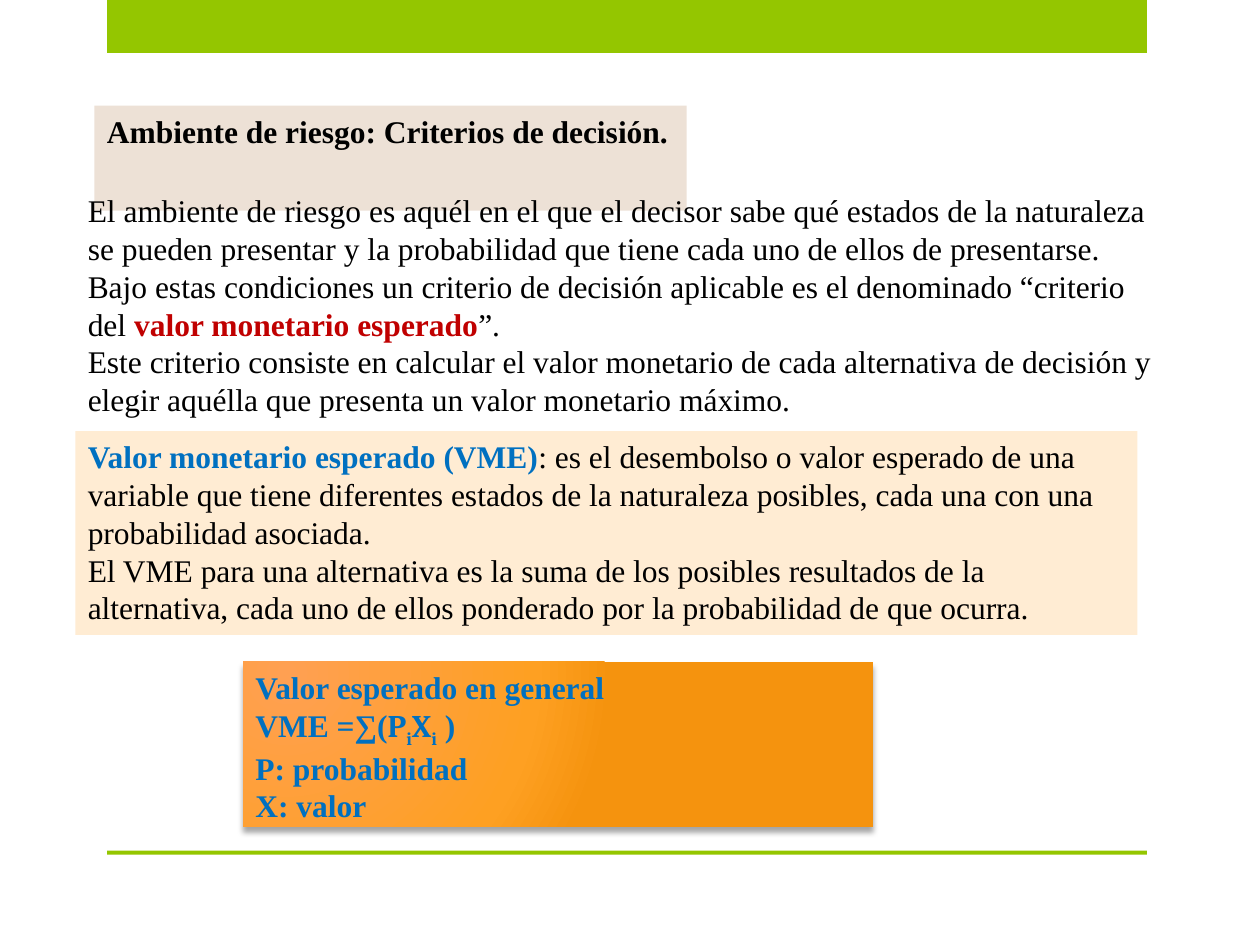
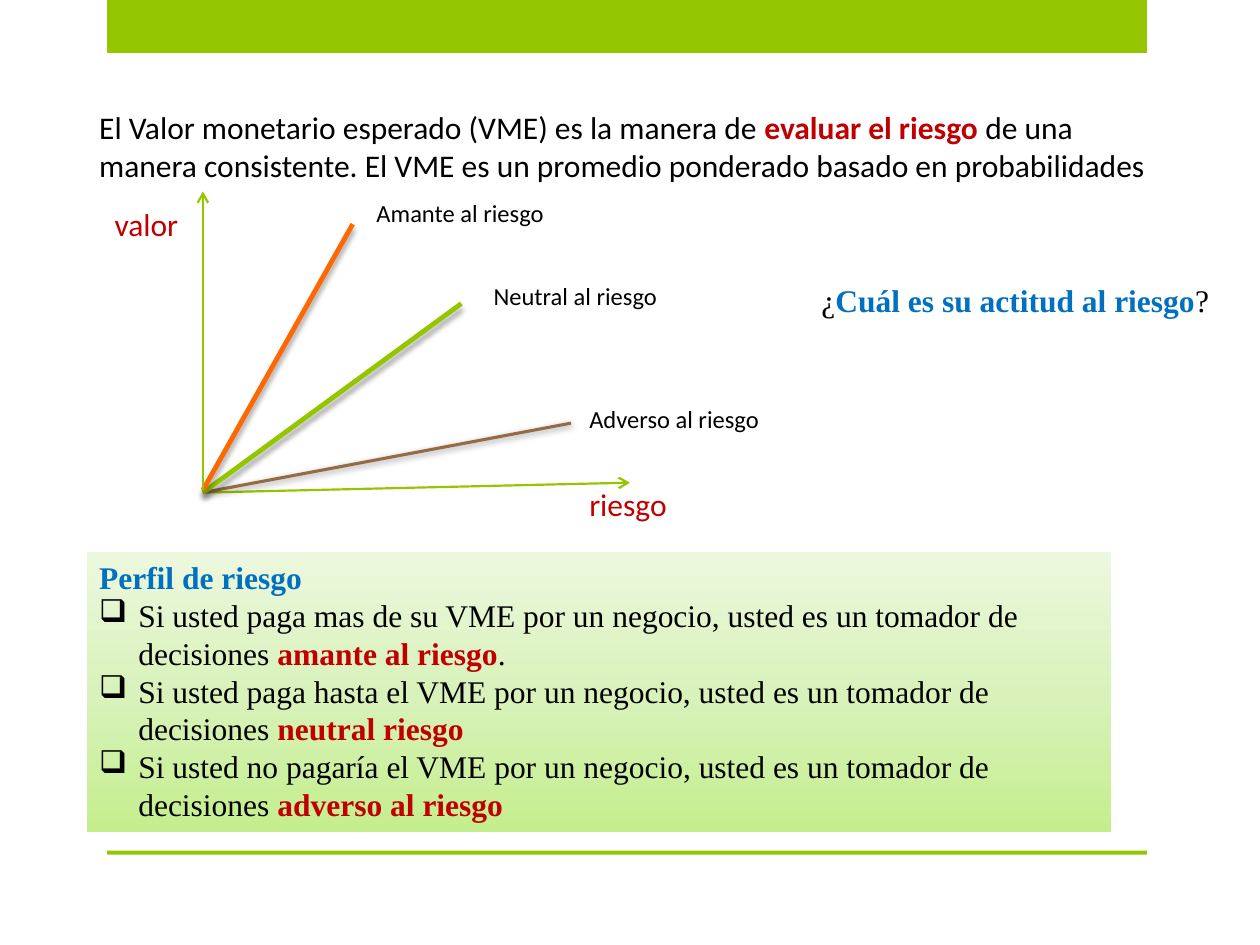
from typing import NamedTuple, Optional

from pptx import Presentation
from pptx import util as u
from pptx.dml.color import RGBColor
from pptx.enum import shapes, text
from pptx.oxml import parse_xml
from pptx.oxml.ns import nsdecls

GREEN, BLACK, RED, BLUE = "94C600", "000000", "C00000", "0070C0"
ORANGE, BROWN = "FF6700", "956B43"
SERIF, SANS, MATH = "Times New Roman", "Calibri", "Cambria"


class Run(NamedTuple):
    words: str
    tint: str = BLACK
    bold: bool = False
    face: str = SERIF
    size: int = 18
    base: int = 0


class Para(NamedTuple):
    runs: list[Run]
    bullet: str = ""


class Shade(NamedTuple):
    alpha: int = 35
    blur: int = 3
    dist: int = 3
    angle: int = 90


class Grad(NamedTuple):
    stops: list[tuple[int, str]]
    shape: str


class Box(NamedTuple):
    at: tuple[float, float, float, float]
    paras: list[Para]
    fill: Optional[str | Grad] = None
    wrap: bool = True
    shade: Optional[Shade] = None


class Line(NamedTuple):
    start: tuple[float, float]
    end: tuple[float, float]
    tint: str
    width: float
    arrow: bool = False
    shade: Optional[Shade] = None


def color(tint: str) -> RGBColor:
    return RGBColor.from_string(tint)


def node(tag: str, body: str = "", attrs: str = ""):
    return parse_xml(f"<a:{tag} {nsdecls('a')} {attrs}>{body}</a:{tag}>")


def cast(shape, shade: Optional[Shade]) -> None:
    """Give a shape its own effect list, empty when there is no shade."""
    body = ""
    if shade:
        body = (f'<a:outerShdw blurRad="{u.Pt(shade.blur)}" dist="{u.Pt(shade.dist)}" '
                f'dir="{shade.angle * 60000}" rotWithShape="0"><a:srgbClr val="{BLACK}">'
                f'<a:alpha val="{shade.alpha * 1000}"/></a:srgbClr></a:outerShdw>')
    shape._element.spPr.append(node("effectLst", body))


def paint(shape, fill: str | Grad) -> None:
    if isinstance(fill, str):
        shape.fill.solid()
        shape.fill.fore_color.rgb = color(fill)
        return
    stops = "".join(f'<a:gs pos="{pos * 1000}"><a:srgbClr val="{tint}"/></a:gs>'
                    for pos, tint in fill.stops)
    shape._element.spPr.append(
        node("gradFill", f"<a:gsLst>{stops}</a:gsLst>{fill.shape}", 'rotWithShape="1"'))


def write(frame, paras: list[Para]) -> None:
    for i, para in enumerate(paras):
        line = frame.add_paragraph() if i else frame.paragraphs[0]
        line.alignment = text.PP_ALIGN.LEFT
        if para.bullet:
            props = line._p.get_or_add_pPr()
            for key, value in {"marL": u.Cm(0.79), "indent": -u.Cm(0.79)}.items():
                props.set(key, str(value))
            props.append(node("buChar", attrs=f'char="{para.bullet}"'))
        for item in para.runs:
            run = line.add_run()
            run.text = item.words
            look = {"name": item.face, "size": u.Pt(item.size), "bold": item.bold}
            for key, value in look.items():
                setattr(run.font, key, value)
            run.font.color.rgb = color(item.tint)
            if item.base:
                run.font._element.set("baseline", str(item.base * 1000))


def place(slide, box: Box, shape=None) -> None:
    """Draw a box as a new text box, or in the given placeholder."""
    spot = [u.Cm(n) for n in box.at]
    shape = shape or slide.shapes.add_textbox(*spot)
    for key, value in zip(("left", "top", "width", "height"), spot):
        setattr(shape, key, value)
    if box.fill:
        paint(shape, box.fill)
    if box.shade:
        cast(shape, box.shade)
    frame = shape.text_frame
    look = {"word_wrap": box.wrap, "vertical_anchor": text.MSO_ANCHOR.TOP,
            "auto_size": text.MSO_AUTO_SIZE.SHAPE_TO_FIT_TEXT}
    for key, value in look.items():
        setattr(frame, key, value)
    write(frame, box.paras)


def draw(slide, line: Line) -> None:
    ends = [u.Cm(n) for n in (*line.start, *line.end)]
    link = slide.shapes.add_connector(shapes.MSO_CONNECTOR.STRAIGHT, *ends)
    link.line.color.rgb = color(line.tint)
    link.line.width = u.Pt(line.width)
    if line.arrow:
        link.line._get_or_add_ln().append(node("tailEnd", attrs='type="arrow"'))
    cast(link, line.shade)


def start(deck, layout: int):
    """Add a slide with the green bands."""
    slide = deck.slides.add_slide(deck.slide_layouts[layout])
    for top, height in ((0, 1.07), (17.15, 0.08)):
        band = slide.shapes.add_shape(
            shapes.MSO_SHAPE.RECTANGLE, u.Cm(2.16), u.Cm(top), u.Cm(20.96), u.Cm(height))
        paint(band, GREEN)
        band.line.fill.background()
        band.shadow.inherit = False
    return slide


def strong(words: str, tint: str = BLUE, face: str = SERIF, base: int = 0) -> Run:
    return Run(words, tint, True, face, base=base)


def label(left: float, top: float, width: float, run: Run) -> Box:
    return Box((left, top, width, 1.02 if run.size == 18 else 0.86), [Para([run])], wrap=False)


TITLE = Box((1.9, 2.13, 11.94, 1.02),
            [Para([strong("Ambiente de riesgo: Criterios de decisión.", BLACK)])],
            "EDE1D6", wrap=False)

RISK = [
    Box((1.52, 3.73, 21.97, 4.88), [
        Para([Run("El ambiente de riesgo es aquél en el que el decisor sabe qué estados de la "
                  "naturaleza se pueden presentar y la probabilidad que tiene cada uno de ellos "
                  "de presentarse. Bajo estas condiciones un criterio de decisión aplicable es "
                  "el denominado “criterio del "),
              strong("valor monetario esperado", RED), Run("”.")]),
        Para([Run("Este criterio consiste en calcular el valor monetario de cada alternativa de "
                  "decisión y elegir aquélla que presenta un valor monetario máximo.")])]),
    Box((1.52, 8.69, 21.41, 4.11), [
        Para([strong("Valor monetario esperado (VME)"),
              Run(": es el desembolso o valor esperado de una variable que tiene diferentes "
                  "estados de la naturaleza posibles, cada una con una probabilidad asociada.")]),
        Para([Run("El VME para una alternativa es la suma de los posibles resultados de la "
                  "alternativa, cada uno de ellos ponderado por la probabilidad de que "
                  "ocurra.")])],
        "FFECD3"),
    Box((4.9, 13.34, 12.7, 3.33), [
        Para([strong("Valor esperado en general")]),
        Para([strong("VME =∑("),
              strong("P", face=MATH), strong("i", face=MATH, base=-25),
              strong("X", face=MATH), strong("i", face=MATH, base=-25), strong(" )")]),
        Para([strong("P: probabilidad")]),
        Para([strong("X: valor")])],
        Grad([(0, "FFA052"), (76, "FEA022"), (100, "F5930E")],
             '<a:path path="circle"><a:fillToRect l="15000" t="15000" r="100000" b="100000"/>'
             '</a:path>'),
        shade=Shade()),
]

BASE, RAISED = (4.09, 9.93), (4.09, 9.88)
LINES = [
    Line(BASE, (12.7, 9.73), GREEN, 1.25, arrow=True),
    Line(BASE, (11.51, 8.53), BROWN, 1.75, shade=Shade(40, 4, 1, 88)),
    Line(BASE, (9.3, 6.12), GREEN, 2.75, shade=Shade()),
    Line(RAISED, (7.11, 4.52), ORANGE, 2.75, shade=Shade()),
    Line(RAISED, (4.09, 3.86), GREEN, 1.25, arrow=True),
]

INTRO = Box((1.75, 2.06, 22.2, 1.8), [
    Para([Run("El Valor monetario esperado (VME) es la manera de ", face=SANS),
          strong("evaluar el riesgo ", RED, SANS),
          Run("de una manera consistente. El VME es un promedio ponderado basado en "
              "probabilidades", face=SANS)])])

LABELS = [
    label(7.34, 3.86, 3.91, Run("Amante al riesgo", face=SANS, size=14)),
    label(9.7, 5.54, 3.84, Run("Neutral al riesgo", face=SANS, size=14)),
    label(11.63, 8.03, 3.96, Run("Adverso al riesgo", face=SANS, size=14)),
    label(2.06, 4.01, 1.83, Run("valor", RED, face=SANS)),
    label(11.63, 9.65, 2.08, Run("riesgo", RED, face=SANS)),
]

ASK = Box((16.31, 5.54, 8.41, 1.02),
          [Para([Run("¿"), strong("Cuál es su actitud al riesgo"), Run("?")])], wrap=False)

TYPES = [("paga mas de su", "amante al riesgo", "."),
         ("paga hasta el", "neutral riesgo", ""),
         ("no pagaría el", "adverso al riesgo", "")]

PROFILE = Box((1.75, 11.13, 20.65, 5.64), [
    Para([strong("Perfil de riesgo")]),
    *(Para([Run(f"Si usted {deed} VME por un negocio, usted es un tomador de decisiones "),
            strong(kind, RED)] + ([Run(stop)] if stop else []), "❑")
      for deed, kind, stop in TYPES)],
    Grad([(0, "C4EE8E"), (50, "D9F2BB"), (100, "ECF8DE")],
         '<a:lin ang="16200000" scaled="0"/>'))


def main() -> None:
    deck = Presentation()
    deck.slide_width, deck.slide_height = u.Cm(25.4), u.Cm(19.05)

    risk = start(deck, 5)
    place(risk, TITLE, risk.shapes.title)
    for box in RISK:
        place(risk, box)

    graph = start(deck, 6)
    place(graph, INTRO)
    for line in LINES:
        draw(graph, line)
    for box in (*LABELS, ASK, PROFILE):
        place(graph, box)

    deck.save("out.pptx")


if __name__ == "__main__":
    main()
